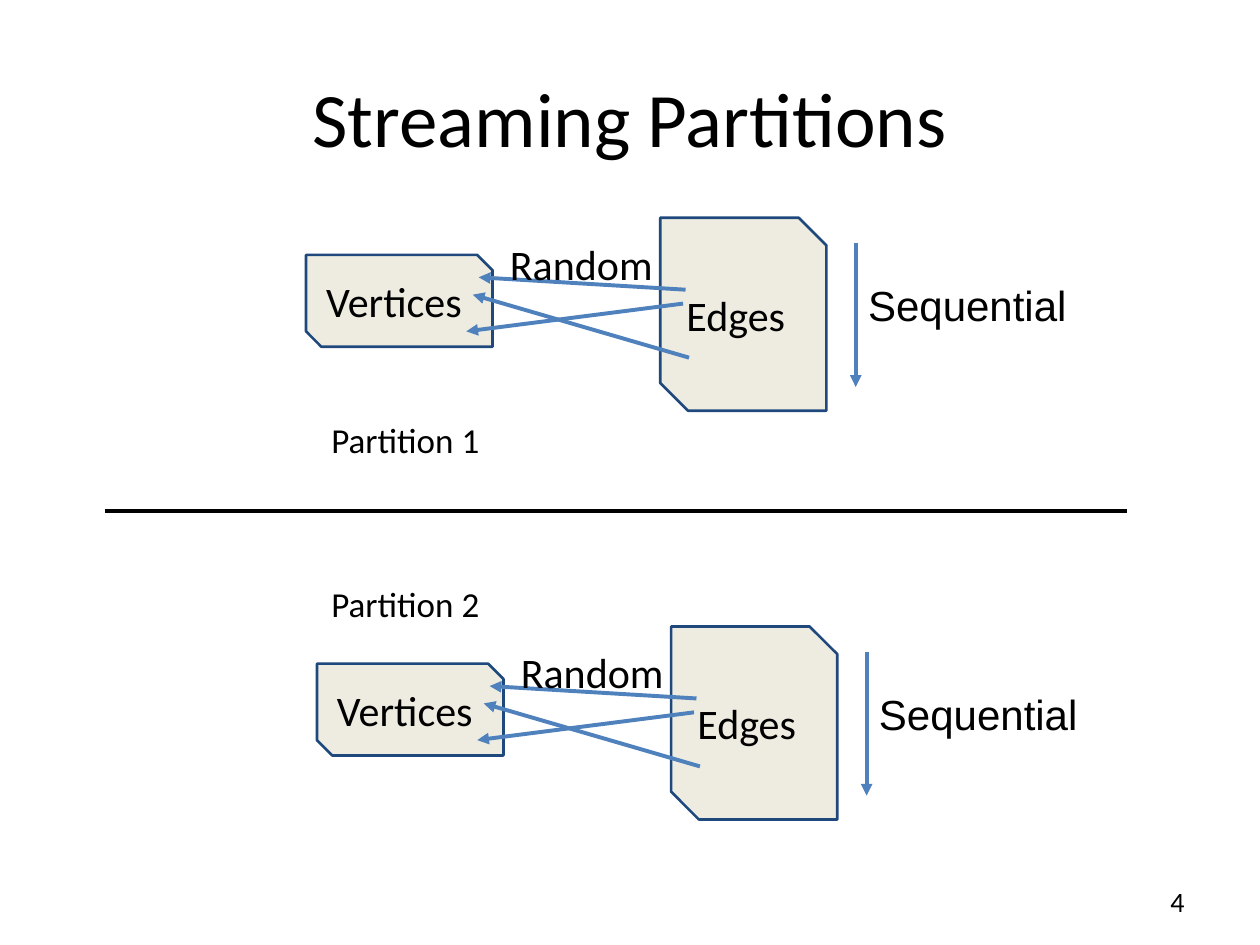
from dataclasses import dataclass

from lxml import etree
from pptx import Presentation
from pptx.dml.color import RGBColor
from pptx.enum import shapes, text
from pptx.oxml import ns
from pptx.util import Cm, Pt

BLACK = RGBColor(0x00, 0x00, 0x00)
ARROW_BLUE = RGBColor(0x4F, 0x81, 0xBD)
OUTLINE_BLUE = RGBColor(0x1F, 0x49, 0x7D)
CREAM = RGBColor(0xEE, 0xEC, 0xE1)


@dataclass(frozen=True)
class Box:
    """A labelled area, in centimetres."""
    label: str
    left: float
    top: float
    width: float
    height: float
    size: int = 24
    font: str = "Calibri"

    def moved(self, dx: float, dy: float) -> list:
        return [Cm(self.left + dx), Cm(self.top + dy), Cm(self.width), Cm(self.height)]


@dataclass(frozen=True)
class Line:
    """A straight line, in centimetres."""
    x1: float
    y1: float
    x2: float
    y2: float


@dataclass(frozen=True)
class Partition:
    caption: Box
    dx: float
    dy: float


STORES = [Box("Vertices", 6.17, 5.14, 3.76, 1.85), Box("Edges", 13.31, 4.39, 3.35, 3.89)]
ACCESS_LABELS = [
    Box("Random", 10.03, 4.55, 3.66, 1),
    Box("Sequential", 17.25, 5.39, 4.58, 1.3, font="Arial"),
]
ACCESS_ARROWS = [
    Line(17.25, 4.9, 17.25, 7.8),
    Line(13.82, 5.84, 9.65, 5.59),
    Line(13.89, 7.21, 9.53, 5.94),
    Line(13.77, 6.12, 9.4, 6.68),
]
PARTITIONS = [
    Partition(Box("Partition 1", 6.43, 8.31, 3.61, 1.12, 20), 0, 0),
    Partition(Box("Partition 2", 6.43, 11.61, 3.61, 1.12, 20), 0.22, 8.24),
]
DIVIDER = Line(2.11, 10.31, 22.71, 10.31)
SLIDE_NUMBER = Box("4", 18.21, 17.65, 5.92, 1.02, 16)


def write(shape, box: Box, align=text.PP_ALIGN.LEFT, anchor=text.MSO_ANCHOR.TOP,
          margin: float = 0.25) -> None:
    frame = shape.text_frame
    frame.word_wrap = True
    frame.vertical_anchor = anchor
    frame.margin_left = frame.margin_right = Cm(0.25)
    frame.margin_top = frame.margin_bottom = Cm(margin)
    paragraph = frame.paragraphs[0]
    paragraph.text = box.label
    paragraph.alignment = align
    paragraph.font.size = Pt(box.size)
    paragraph.font.name = box.font
    paragraph.font.color.rgb = BLACK


def add_label(slide, box: Box, dx: float = 0, dy: float = 0, **style) -> None:
    write(slide.shapes.add_textbox(*box.moved(dx, dy)), box, **style)


def add_store(slide, box: Box, dx: float, dy: float) -> None:
    shape = slide.shapes.add_shape(
        shapes.MSO_SHAPE.SNIP_2_DIAG_RECTANGLE, *box.moved(dx, dy))
    shape.shadow.inherit = False
    shape.fill.solid()
    shape.fill.fore_color.rgb = CREAM
    shape.line.color.rgb = OUTLINE_BLUE
    shape.line.width = Pt(1.5)
    write(shape, box, anchor=text.MSO_ANCHOR.MIDDLE)


def add_line(slide, line: Line, color: RGBColor, dx: float = 0, dy: float = 0,
             arrow: bool = False) -> None:
    connector = slide.shapes.add_connector(
        shapes.MSO_CONNECTOR.STRAIGHT, Cm(line.x1 + dx), Cm(line.y1 + dy),
        Cm(line.x2 + dx), Cm(line.y2 + dy))
    connector.line.color.rgb = color
    connector.line.width = Pt(2.25)
    if arrow:
        etree.SubElement(connector.line._get_or_add_ln(), ns.qn("a:tailEnd"), type="triangle")
    etree.SubElement(connector._element.spPr, ns.qn("a:effectLst"))


def add_partition(slide, partition: Partition) -> None:
    dx, dy = partition.dx, partition.dy
    for store in STORES:
        add_store(slide, store, dx, dy)
    for arrow in ACCESS_ARROWS:
        add_line(slide, arrow, ARROW_BLUE, dx, dy, arrow=True)
    for label in ACCESS_LABELS:
        add_label(slide, label, dx, dy)
    add_label(slide, partition.caption, margin=0.13)


def add_title(slide, box: Box) -> None:
    title = slide.shapes.title
    title.left, title.top, title.width, title.height = box.moved(0, 0)
    write(title, box, text.PP_ALIGN.CENTER, text.MSO_ANCHOR.MIDDLE, margin=0.13)


def main() -> None:
    presentation = Presentation()
    presentation.slide_width, presentation.slide_height = Cm(25.4), Cm(19.05)
    slide = presentation.slides.add_slide(presentation.slide_layouts[5])
    add_title(slide, Box("Streaming Partitions", 1.27, 0.76, 22.86, 3.18, 44))
    for partition in PARTITIONS:
        add_partition(slide, partition)
    add_line(slide, DIVIDER, BLACK)
    add_label(slide, SLIDE_NUMBER, align=text.PP_ALIGN.RIGHT,
              anchor=text.MSO_ANCHOR.MIDDLE, margin=0.13)
    presentation.save("out.pptx")


if __name__ == "__main__":
    main()
